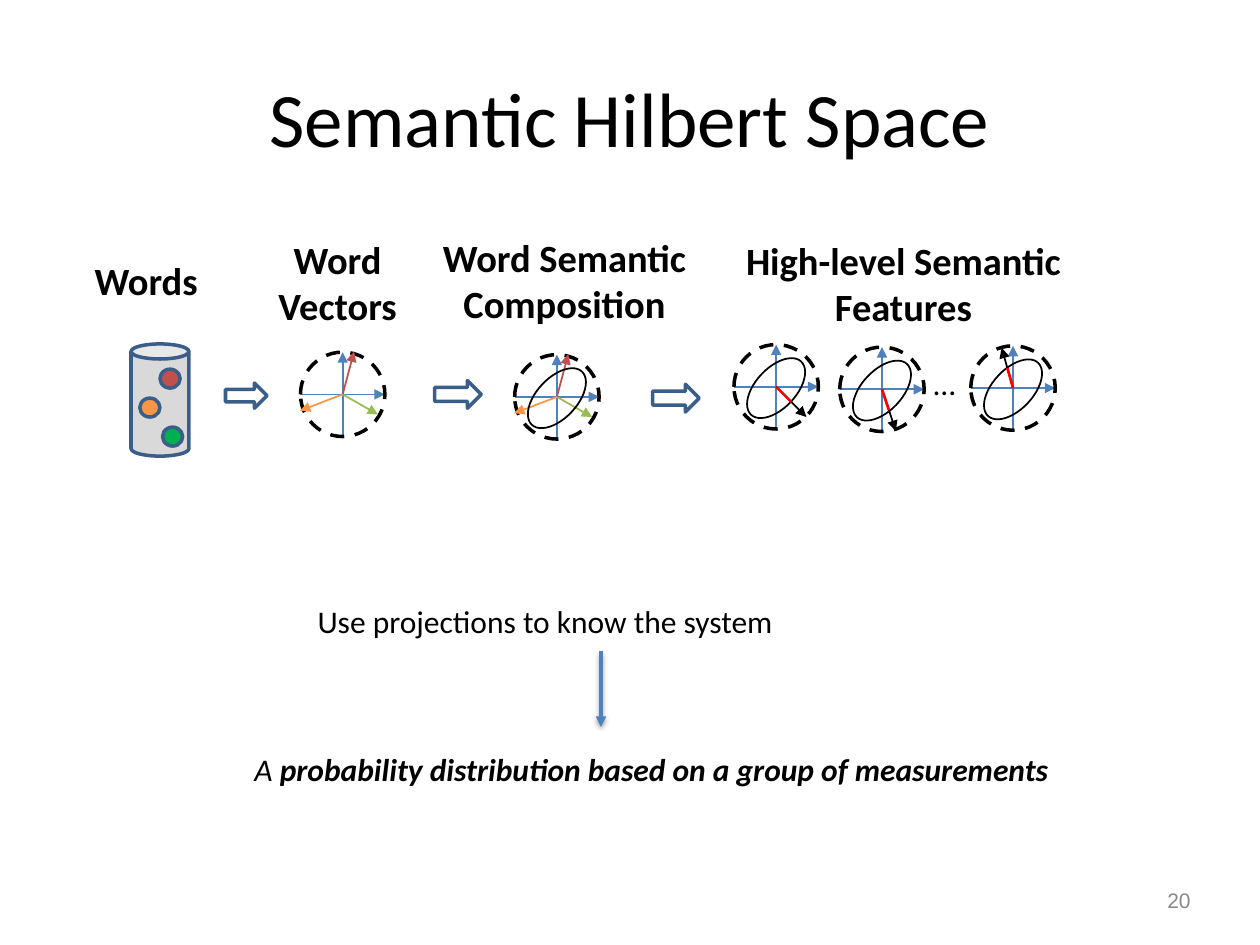
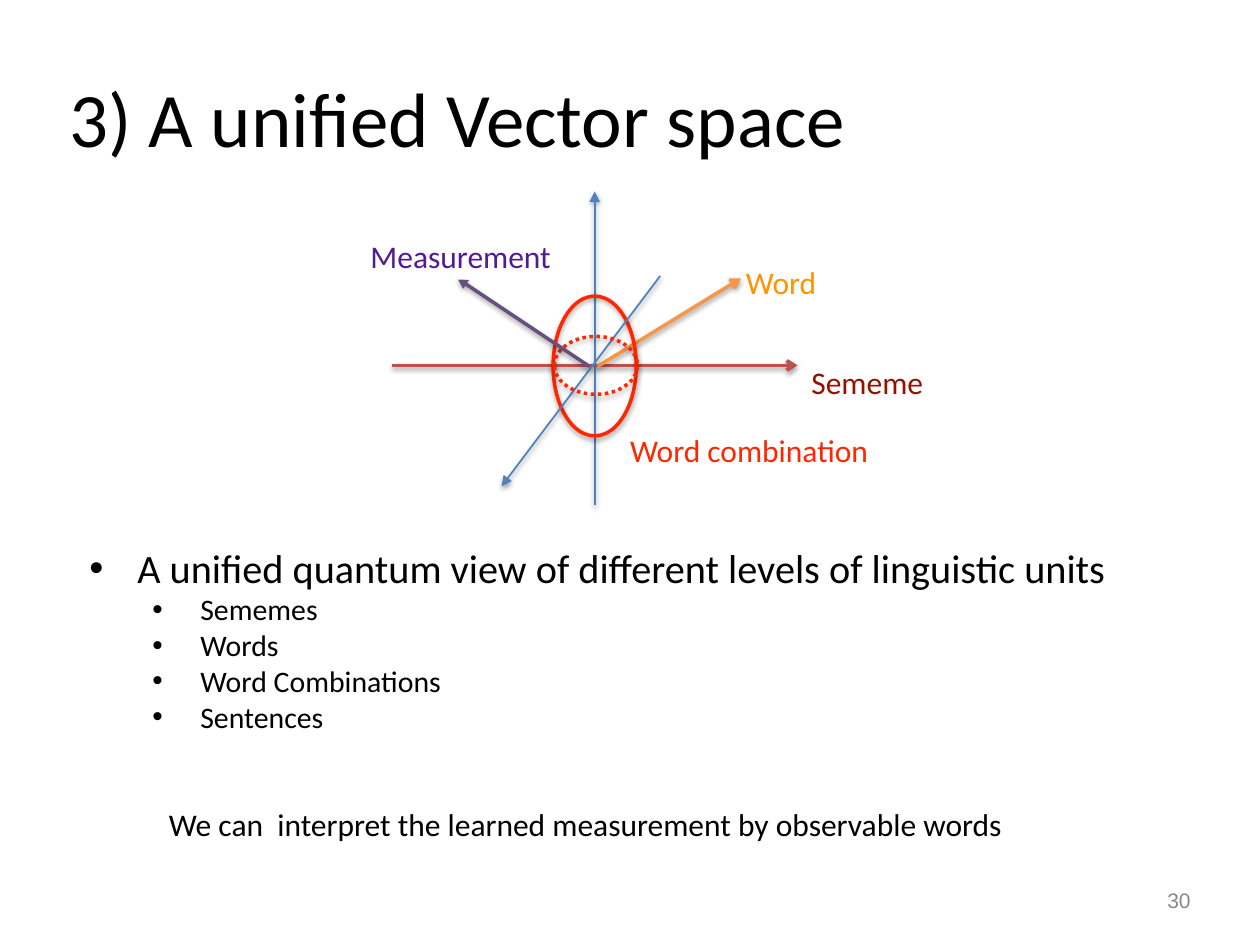
from dataclasses import dataclass
from typing import Optional

from lxml.etree import SubElement
from pptx import Presentation
from pptx.dml.color import RGBColor
from pptx.enum.dml import MSO_LINE
from pptx.enum.shapes import MSO_CONNECTOR, MSO_SHAPE
from pptx.enum.text import MSO_ANCHOR, PP_ALIGN
from pptx.oxml.ns import qn
from pptx.util import Inches, Pt


@dataclass(frozen=True)
class Theme:
    font: str = "Calibri"
    num_font: str = "Arial"
    black: str = "000000"
    white: str = "FFFFFF"
    gray: str = "888888"
    can: str = "D9D9D9"
    edge: str = "3A5E8A"
    blue: str = "4F81BD"
    brick: str = "C0504D"
    lime: str = "9BBB59"
    peach: str = "F79646"
    green: str = "00B050"
    red: str = "FF0000"
    plum: str = "665082"
    wine: str = "941100"
    amber: str = "FF9300"
    scarlet: str = "FF2600"
    violet: str = "531B93"
    title: float = 44
    point: float = 23
    head: float = 22
    text: float = 18
    sub: float = 17
    num: float = 12


THEME = Theme()


@dataclass(frozen=True)
class Label:
    text: str
    left: float
    top: float
    width: float
    height: float = 0.39
    size: float = THEME.text
    color: str = THEME.black
    bold: bool = False
    slant: bool = False
    align: PP_ALIGN = PP_ALIGN.LEFT
    anchor: MSO_ANCHOR = MSO_ANCHOR.TOP
    font: str = THEME.font
    fill: Optional[str] = None


@dataclass(frozen=True)
class Ray:
    start: tuple
    end: tuple
    color: str
    width: float = 1
    tip: Optional[str] = "triangle"
    shade: bool = False


@dataclass(frozen=True)
class Form:
    kind: MSO_SHAPE
    left: float
    top: float
    width: float
    height: float
    line: str = THEME.edge
    weight: float = 2
    fill: Optional[str] = None
    dash: Optional[MSO_LINE] = None
    turn: float = 0
    shade: bool = False


@dataclass(frozen=True)
class Dial:
    """A dashed unit circle with axes, and optional vectors inside."""
    x: float
    y: float
    words: bool = False
    oval: bool = True
    probe: Optional[tuple] = None


def rgb(code: str) -> RGBColor:
    return RGBColor.from_string(code)


def style(run, item: Label) -> None:
    font = run.font
    font.name, font.size = item.font, Pt(item.size)
    font.bold, font.italic = item.bold, item.slant
    font.color.rgb = rgb(item.color)


def put_label(slide, item: Label):
    box = slide.shapes.add_textbox(Inches(item.left), Inches(item.top),
                                   Inches(item.width), Inches(item.height))
    if item.fill:
        box.fill.solid()
        box.fill.fore_color.rgb = rgb(item.fill)
    frame = box.text_frame
    frame.word_wrap = True
    frame.vertical_anchor = item.anchor
    frame.margin_left = frame.margin_right = Inches(0.05)
    frame.margin_top = frame.margin_bottom = Inches(0.05)
    frame.text = item.text
    for para in frame.paragraphs:
        para.alignment = item.align
        for run in para.runs:
            style(run, item)
    return frame


def add_shade(effects) -> None:
    """Soft shadow straight below the object."""
    outer = SubElement(effects, qn("a:outerShdw"), blurRad=str(Pt(3)),
                       dist=str(Pt(1.6)), dir="5400000", rotWithShape="0")
    tint = SubElement(outer, qn("a:srgbClr"), val=THEME.black)
    SubElement(tint, qn("a:alpha"), val="38000")


def put_ray(slide, ray: Ray) -> None:
    ends = [Inches(v) for v in (*ray.start, *ray.end)]
    link = slide.shapes.add_connector(MSO_CONNECTOR.STRAIGHT, *ends)
    link.line.color.rgb = rgb(ray.color)
    link.line.width = Pt(ray.width)
    props = link._element.spPr
    if ray.tip:
        SubElement(props.find(qn("a:ln")), qn("a:tailEnd"), type=ray.tip)
    effects = SubElement(props, qn("a:effectLst"))
    if ray.shade:
        add_shade(effects)


def put_form(slide, form: Form):
    shape = slide.shapes.add_shape(form.kind, Inches(form.left), Inches(form.top),
                                   Inches(form.width), Inches(form.height))
    shape.rotation = form.turn
    shape.shadow.inherit = False
    if form.shade:
        add_shade(shape._element.spPr.find(qn("a:effectLst")))
    if form.fill:
        shape.fill.solid()
        shape.fill.fore_color.rgb = rgb(form.fill)
    else:
        shape.fill.background()
    shape.line.color.rgb = rgb(form.line)
    shape.line.width = Pt(form.weight)
    if form.dash:
        shape.line.dash_style = form.dash
    return shape


def put_dial(slide, dial: Dial) -> None:
    x, y, reach = dial.x, dial.y, 0.335

    def ray(dx: float, dy: float, color: str, **more) -> None:
        put_ray(slide, Ray((x, y), (x + dx, y + dy), color, **more))

    put_ray(slide, Ray((x - reach, y), (x + reach, y), THEME.blue))
    put_ray(slide, Ray((x, y + reach), (x, y - reach), THEME.blue))
    put_form(slide, Form(MSO_SHAPE.OVAL, x - reach, y - reach, 2 * reach,
                         2 * reach, THEME.black, dash=MSO_LINE.DASH))
    if dial.words:
        ray(0.28, 0.16, THEME.lime)
        ray(0.09, -0.34, THEME.brick)
        ray(-0.34, 0.13, THEME.peach)
    if dial.oval:
        put_form(slide, Form(MSO_SHAPE.OVAL, x - 0.29, y - 0.15, 0.58, 0.32,
                             THEME.black, 1, turn=313.3))
    if dial.probe:
        dx, dy = dial.probe
        ray(dx, dy, THEME.black)
        ray(dx / 2, dy / 2, THEME.red, width=1.5, tip=None)


def put_list(slide, lead: str, subs: list) -> None:
    """One main bullet with smaller ones below it."""
    item = Label("\n".join([lead, *subs]), 0.66, 4.26, 9.29, 1.59, THEME.sub)
    frame = put_label(slide, item)
    for rank, para in enumerate(frame.paragraphs):
        props = para._p.get_or_add_pPr()
        props.set("marL", str(Inches(0.88 if rank else 0.38)))
        props.set("indent", str(Inches(-0.38)))
        SubElement(props, qn("a:buFont"), typeface=THEME.num_font)
        SubElement(props, qn("a:buChar"), char="•")
        para.level = 1 if rank else 0
    frame.paragraphs[0].runs[0].font.size = Pt(THEME.point)


def start_slide(deck, title: str, num: int, align: PP_ALIGN):
    slide = deck.slides.add_slide(deck.slide_layouts[6])
    put_label(slide, Label(title, 0.5, 0.3, 9, 1.25, THEME.title,
                           align=align, anchor=MSO_ANCHOR.MIDDLE))
    put_label(slide, Label(str(num), 8.7, 7, 0.8, 0.29, THEME.num, THEME.gray,
                           align=PP_ALIGN.RIGHT, anchor=MSO_ANCHOR.MIDDLE,
                           font=THEME.num_font))
    return slide


def build_hilbert(deck) -> None:
    slide = start_slide(deck, "Semantic Hilbert Space", 20, PP_ALIGN.CENTER)

    # Stage heads
    for text, left, top, width in (
            ("Words", 0.61, 1.99, 1.1),
            ("Word\nVectors", 1.91, 1.82, 1.54),
            ("Word Semantic Composition", 3.27, 1.81, 2.42),
            ("High-level Semantic Features", 5.56, 1.83, 3.22)):
        put_label(slide, Label(text, left, top, width, 0.82, THEME.head,
                               bold=True, align=PP_ALIGN.CENTER))

    # Can of words
    can = put_form(slide, Form(MSO_SHAPE.CAN, 1.04, 2.73, 0.46, 0.89,
                               fill=THEME.can))
    can.adjustments[0] = 0.26
    for left, top, color in ((1.27, 2.93, THEME.brick),
                             (1.11, 3.16, THEME.peach),
                             (1.29, 3.39, THEME.green)):
        put_form(slide, Form(MSO_SHAPE.OVAL, left, top, 0.16, 0.15, fill=color))

    # Block arrows from stage to stage
    for left, top, width, height in ((1.79, 3.04, 0.33, 0.2),
                                     (3.45, 3.02, 0.37, 0.22),
                                     (5.18, 3.05, 0.37, 0.22)):
        put_form(slide, Form(MSO_SHAPE.RIGHT_ARROW, left, top, width, height))

    # Vector dials
    for dial in (Dial(2.72, 3.13, words=True, oval=False),
                 Dial(4.42, 3.15, words=True),
                 Dial(6.16, 3.07, probe=(0.24, 0.24)),
                 Dial(7, 3.09, probe=(0.11, 0.33)),
                 Dial(8.04, 3.08, probe=(-0.09, -0.32))):
        put_dial(slide, dial)
    put_label(slide, Label("…", 7.36, 2.84, 0.31))

    # Outcome
    put_label(slide, Label("Use projections to know the system", 2.47, 4.73, 4.11))
    put_ray(slide, Ray((4.77, 5.17), (4.77, 5.77), THEME.blue, 2, shade=True))
    claim = Label("A ", 1.97, 5.9, 7.37, slant=True)
    run = put_label(slide, claim).paragraphs[0].add_run()
    run.text = "probability distribution based on a group of measurements"
    style(run, claim)
    run.font.bold = True


def build_space(deck) -> None:
    slide = start_slide(deck, "3) A unified Vector space", 30, PP_ALIGN.LEFT)

    # Axes, vectors and the two rings
    for item in (
            Ray((3.11, 2.9), (6.33, 2.9), THEME.brick, 2, "arrow", True),
            Ray((4.72, 4.01), (4.72, 1.52), THEME.blue, shade=True),
            Ray((4.74, 2.91), (5.88, 2.21), THEME.peach, 2, "arrow", True),
            Form(MSO_SHAPE.OVAL, 4.39, 2.35, 0.66, 1.11, THEME.scarlet, shade=True),
            Ray((5.24, 2.19), (3.98, 3.86), THEME.blue, shade=True),
            Form(MSO_SHAPE.OVAL, 4.4, 2.67, 0.66, 0.46, THEME.scarlet,
                 dash=MSO_LINE.ROUND_DOT, shade=True),
            Ray((4.68, 2.91), (3.63, 2.21), THEME.plum, 2, shade=True)):
        draw = put_ray if isinstance(item, Ray) else put_form
        draw(slide, item)

    # Names of the vectors
    for label in (
            Label("Sememe", 6.39, 2.83, 1.06, color=THEME.wine),
            Label("Word", 5.87, 2.04, 0.69, color=THEME.amber),
            Label("Word combination", 4.95, 3.37, 2.15, color=THEME.scarlet),
            Label("Measurement", 2.89, 1.83, 1.61, color=THEME.violet,
                  fill=THEME.white)):
        put_label(slide, label)

    # Claims
    put_list(slide, "A unified quantum view of different levels of linguistic units",
             ["Sememes", "Words", "Word Combinations", "Sentences"])
    put_label(slide, Label(
        "We can  interpret the learned measurement by observable words",
        1.29, 6.34, 7.41))


def main() -> None:
    deck = Presentation()
    deck.slide_width, deck.slide_height = Inches(10), Inches(7.5)
    build_hilbert(deck)
    build_space(deck)
    deck.save("out.pptx")


if __name__ == "__main__":
    main()
